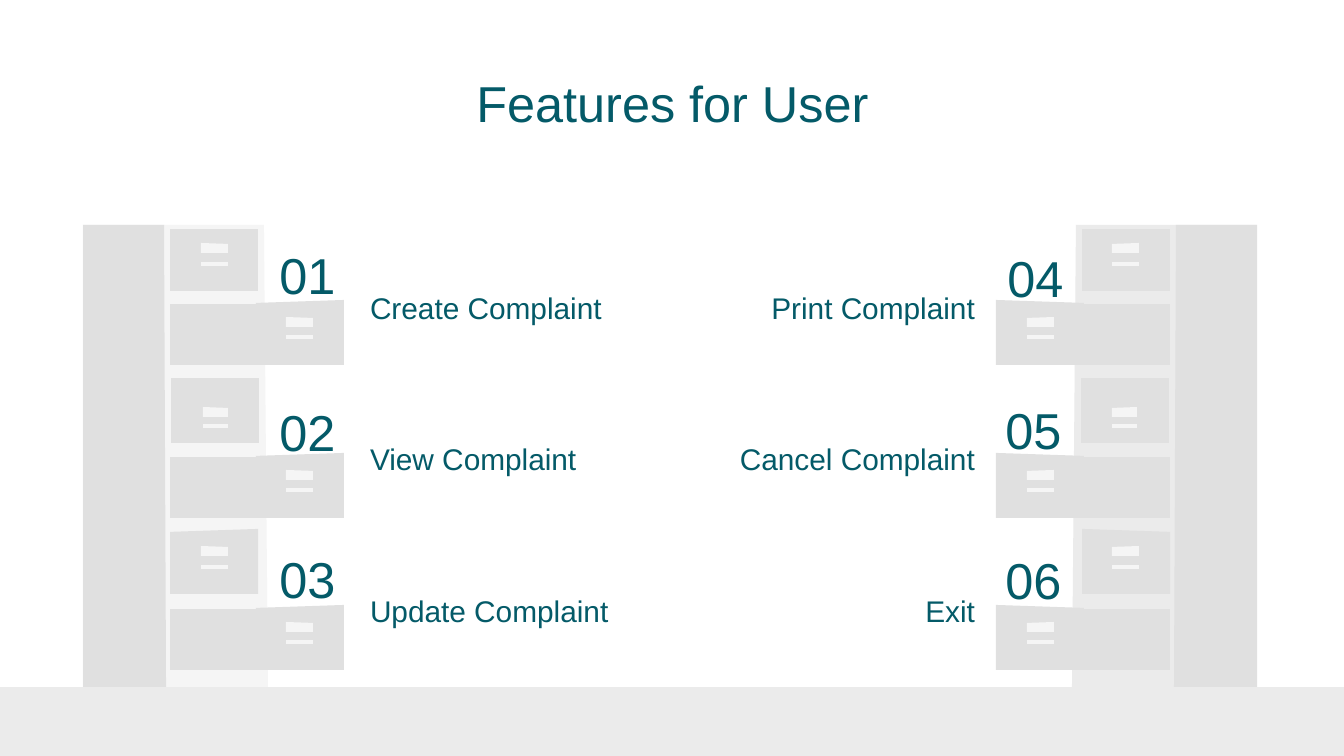
from pptx import Presentation
from pptx.dml.color import RGBColor
from pptx.enum.text import MSO_ANCHOR, PP_ALIGN
from pptx.util import Emu, Pt

LEFT, CENTER, RIGHT = PP_ALIGN.LEFT, PP_ALIGN.CENTER, PP_ALIGN.RIGHT
TOP, MIDDLE, BOTTOM = MSO_ANCHOR.TOP, MSO_ANCHOR.MIDDLE, MSO_ANCHOR.BOTTOM

SCALE = 914400 / 134.4
WIDTH, HEIGHT = 1344, 756
FLOOR_TOP = 687
MIRROR_SUM = 1340
INSET = 13
FONT = "Arial"
COLORS = {
    "text": "045A68",
    "floor": "EBEBEB",
    "drawer": "E0E0E0",
    "label": "F5F5F5",
    "left_body": "F5F5F5",
    "right_body": "EBEBEB",
}

TITLE = "Features for User"
FEATURES = [
    ("01", "Create Complaint", LEFT, 259, 231, 245),
    ("02", "View Complaint", LEFT, 259, 388, 396),
    ("03", "Update Complaint", LEFT, 259, 535, 548),
    ("04", "Print Complaint", RIGHT, 987, 234, 245),
    ("05", "Cancel Complaint", RIGHT, 985, 386, 396),
    ("06", "Exit", RIGHT, 985, 536, 548),
]
CAPTION_LEFT = {LEFT: 357, RIGHT: 687}

# left, top, height, slant, label left, label width, slot offset, line offset
CLOSED_DRAWERS = [
    (170, 229, 62, 0, 201, 27, 14, 33),
    (171, 378, 65, 0, 203, 25, 29, 46),
    (170, 529, 65, 3, 201, 27, 17, 36),
]
OPEN_DRAWERS = [(256, top, 65, 3, 286, 27, 17, 35) for top in (300, 453, 605)]
DRAWER_WIDTH = 88


def px(value):
    return Emu(round(value * SCALE))


def add_text(slide, text, box, size, align, anchor):
    frame = slide.shapes.add_textbox(*map(px, box)).text_frame
    frame.word_wrap = True
    frame.vertical_anchor = anchor
    frame.margin_left = frame.margin_right = px(INSET)
    frame.margin_top = frame.margin_bottom = px(INSET)
    paragraph = frame.paragraphs[0]
    paragraph.text = text
    paragraph.alignment = align
    paragraph.font.name = FONT
    paragraph.font.size = Pt(size)
    paragraph.font.color.rgb = RGBColor.from_string(COLORS["text"])


def add_polygon(slide, points, color):
    builder = slide.shapes.build_freeform(*points[0], scale=SCALE)
    builder.add_line_segments(points[1:], close=True)
    shape = builder.convert_to_shape()
    shape.shadow.inherit = False
    shape.fill.solid()
    shape.fill.fore_color.rgb = RGBColor.from_string(COLORS[color])
    shape.line.fill.background()
    return shape


def block(left, top, width, height, slant=0):
    right, bottom = left + width, top + height
    return [(left, top + slant), (left, bottom), (right, bottom), (right, top)]


def drawer_parts(left, top, height, slant, label_left, label_width, slot, line):
    label_right = label_left + label_width
    slot_top = top + slot
    slot_points = [(label_left, slot_top), (label_left, slot_top + 10),
                   (label_right, slot_top + 10), (label_right, slot_top + 1)]
    return [
        (block(left, top, DRAWER_WIDTH, height, slant), "drawer"),
        (slot_points, "label"),
        (block(label_left, top + line, label_width, 4), "label"),
    ]


def cabinet_parts(body_color):
    parts = [
        ([(83, 225), (83, FLOOR_TOP), (268, FLOOR_TOP), (264, 225)], body_color),
        ([(83, 225), (83, FLOOR_TOP), (166, FLOOR_TOP), (164, 225)], "drawer"),
    ]
    for drawer in CLOSED_DRAWERS + OPEN_DRAWERS:
        parts += drawer_parts(*drawer)
    for drawer in OPEN_DRAWERS:
        parts.append((block(170, drawer[1] + 4, 86, 61), "drawer"))
    return parts


def add_cabinet(slide, body_color, mirrored):
    shapes = []
    for points, color in cabinet_parts(body_color):
        if mirrored:
            points = [(MIRROR_SUM - x, y) for x, y in points]
        shapes.append(add_polygon(slide, points, color))
    slide.shapes.add_group_shape(shapes)


def main():
    presentation = Presentation()
    presentation.slide_width = px(WIDTH)
    presentation.slide_height = px(HEIGHT)
    slide = presentation.slides.add_slide(presentation.slide_layouts[6])

    add_polygon(slide, block(0, FLOOR_TOP, WIDTH, HEIGHT - FLOOR_TOP), "floor")
    add_text(slide, TITLE, (106, 79, 1133, 47), 27, CENTER, MIDDLE)
    for number, caption, align, number_left, number_top, caption_top in FEATURES:
        caption_box = (CAPTION_LEFT[align], caption_top, 301, 94)
        add_text(slide, caption, caption_box, 16, align, BOTTOM)
        add_text(slide, number, (number_left, number_top, 97, 121), 27, CENTER, TOP)
    add_cabinet(slide, "right_body", True)
    add_cabinet(slide, "left_body", False)

    presentation.save("out.pptx")


if __name__ == "__main__":
    main()
